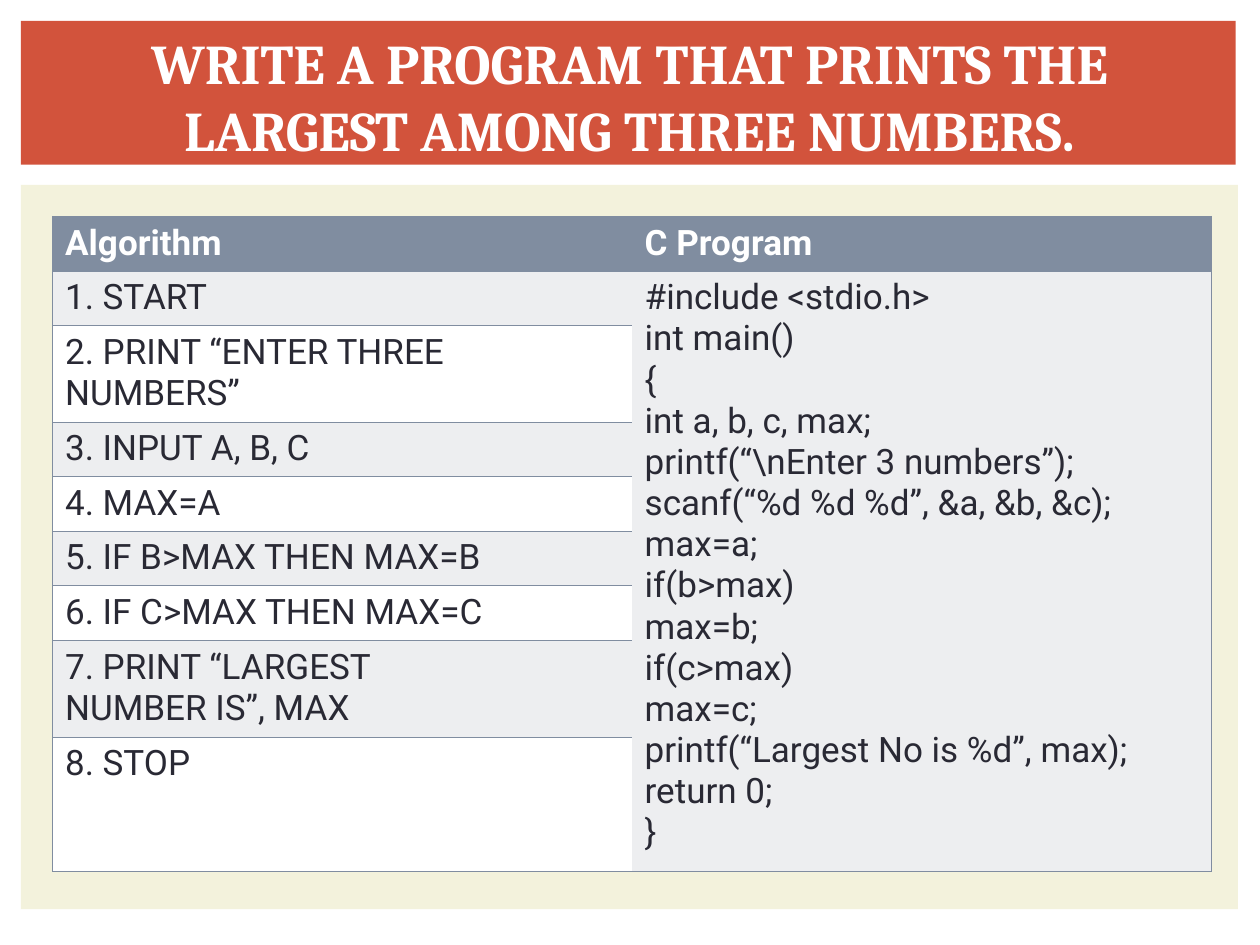
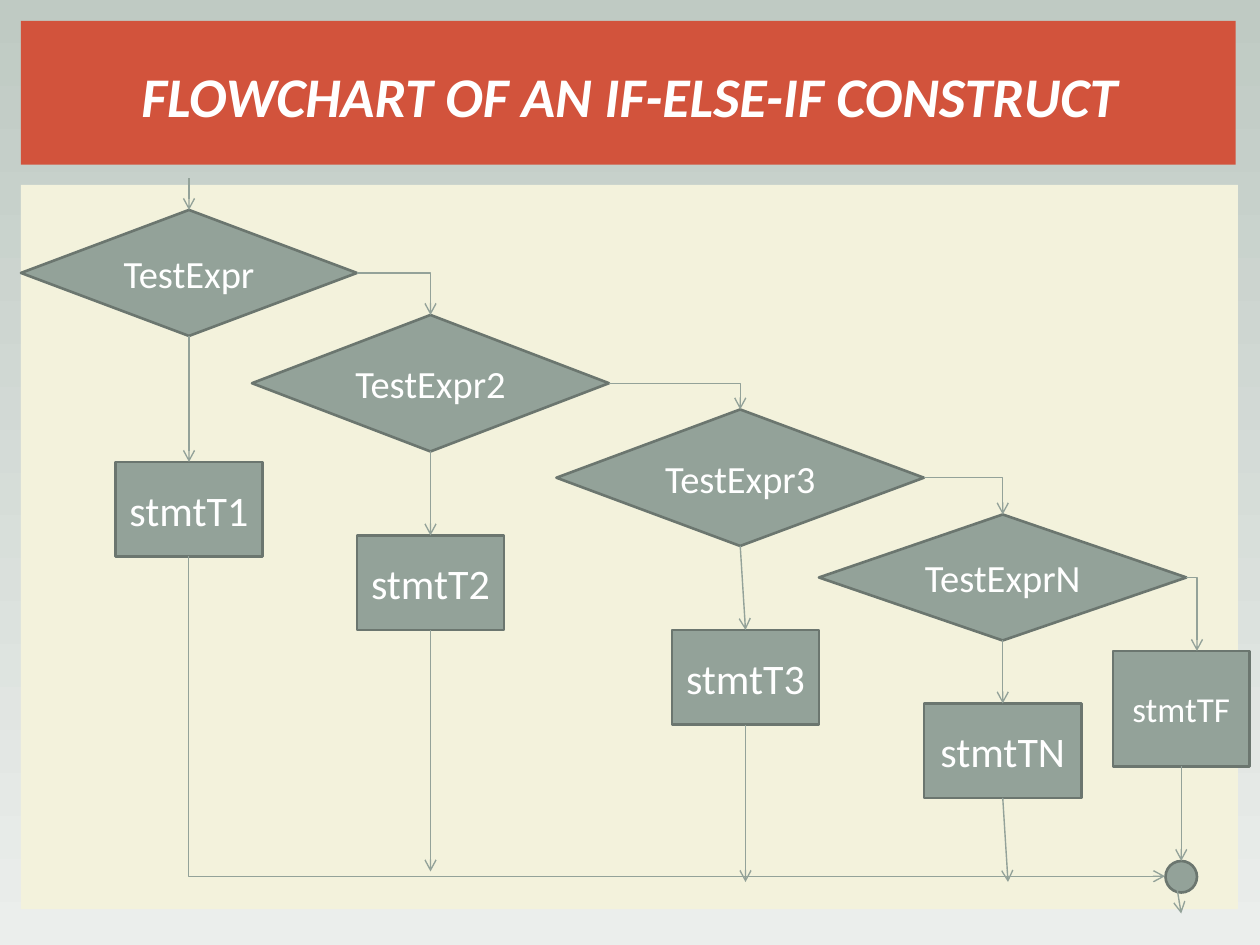
from lxml import etree
from pptx import Presentation
from pptx import util as u
from pptx.dml.color import RGBColor
from pptx.enum import shapes, text
from pptx.oxml.ns import qn

PX = 7620
PAPER, RED, CREAM = "FFFFFF", "D2533C", "F3F2DC"
SAGE, MOSS = "93A299", "6B766F"
SLATE, PALE, INK = "808DA0", "EDEEF0", "292934"
PLAIN_TABLE = "{2D5ABB26-0587-4C30-8999-92F81FD0307C}"

ALGORITHM = [
    "1. START",
    "2. PRINT “ENTER THREE\nNUMBERS”",
    "3. INPUT A, B, C",
    "4. MAX=A",
    "5. IF B>MAX THEN MAX=B",
    "6. IF C>MAX THEN MAX=C",
    "7. PRINT “LARGEST\nNUMBER IS”, MAX",
    "8. STOP",
]
PROGRAM = [
    "#include <stdio.h>",
    "int main()",
    "{",
    "int a, b, c, max;",
    "printf(“\\nEnter 3 numbers”);",
    "scanf(“%d %d %d”, &a, &b, &c);",
    "max=a;",
    "if(b>max)",
    "max=b;",
    "if(c>max)",
    "max=c;",
    "printf(“Largest No is %d”, max);",
    "return 0;",
    "}",
]
TESTS = [
    ("TestExpr", (20, 200, 320, 120)),
    ("TestExpr2", (240, 300, 340, 130)),
    ("TestExpr3", (530, 390, 350, 130)),
    ("TestExprN", (780, 490, 350, 120)),
]
STATEMENTS = [
    ("stmtT1", (110, 440, 140, 90)),
    ("stmtT2", (340, 510, 140, 90)),
    ("stmtT3", (640, 600, 140, 90)),
    ("stmtTN", (880, 670, 150, 90)),
]
FALLBACK = (1060, 620, 130, 110)
JOIN = (1110, 820, 30, 30)


def color(value):
    return RGBColor.from_string(value)


def px(*lengths):
    return [u.Emu(length * PX) for length in lengths]


def top(box):
    x, y, w, h = box
    return x + w // 2, y


def bottom(box):
    x, y, w, h = box
    return x + w // 2, y + h


def right(box):
    x, y, w, h = box
    return x + w, y + h // 2


class Deck:
    def __init__(self):
        self.prs = Presentation()
        self.prs.slide_width, self.prs.slide_height = px(1200, 900)
        self.slide = None

    def font(self, frame, name, size, ink, bold=False, italic=False):
        for paragraph in frame.paragraphs:
            for run in paragraph.runs:
                run.font.name = name
                run.font.size = u.Pt(size)
                run.font.bold = bold
                run.font.italic = italic
                run.font.color.rgb = color(ink)

    def new_slide(self, heading, face, italic=False, backdrop=(PAPER,)):
        self.slide = self.prs.slides.add_slide(self.prs.slide_layouts[5])
        fill = self.slide.background.fill
        if len(backdrop) == 1:
            fill.solid()
            fill.fore_color.rgb = color(backdrop[0])
        else:
            fill.gradient()
            fill.gradient_angle = 270
            for stop, shade in zip(fill.gradient_stops, backdrop):
                stop.color.rgb = color(shade)
        rectangle = shapes.MSO_SHAPE.RECTANGLE
        self.shape(rectangle, (20, 176, 1159, 690), CREAM)
        self.shape(rectangle, (20, 20, 1157, 137), RED)
        self.title(heading, face, italic)

    def title(self, heading, face, italic):
        title = self.slide.shapes.title
        title.left, title.top, title.width, title.height = px(50, 25, 1100, 132)
        frame = title.text_frame
        frame.text = heading
        frame.word_wrap = True
        frame.auto_size = text.MSO_AUTO_SIZE.NONE
        frame.vertical_anchor = text.MSO_ANCHOR.MIDDLE
        frame.paragraphs[0].alignment = text.PP_ALIGN.CENTER
        self.font(frame, face, 32, PAPER, bold=True, italic=italic)
        title._element.getparent().append(title._element)

    def shape(self, preset, box, fill, outline=None):
        shape = self.slide.shapes.add_shape(preset, *px(*box))
        shape.shadow.inherit = False
        shape.fill.solid()
        shape.fill.fore_color.rgb = color(fill)
        if outline:
            shape.line.color.rgb = color(outline)
            shape.line.width = u.Pt(1.5)
        else:
            shape.line.fill.background()
        return shape

    def node(self, preset, box, label="", size=24):
        frame = self.shape(preset, box, SAGE, MOSS).text_frame
        frame.text = label
        frame.vertical_anchor = text.MSO_ANCHOR.MIDDLE
        frame.paragraphs[0].alignment = text.PP_ALIGN.CENTER
        self.font(frame, "Calibri", size, PAPER)

    def arrow(self, start, end, bent=False):
        kind = shapes.MSO_CONNECTOR.ELBOW if bent else shapes.MSO_CONNECTOR.STRAIGHT
        arrow = self.slide.shapes.add_connector(kind, *px(*start, *end))
        arrow.line.color.rgb = color(SAGE)
        arrow.line.width = u.Pt(0.79)
        props = arrow._element.spPr
        etree.SubElement(props.find(qn("a:ln")), qn("a:tailEnd"), type="arrow")
        etree.SubElement(props, qn("a:effectLst"))
        if bent:
            props.find(qn("a:prstGeom")).set("prst", "bentConnector2")
        return arrow

    def down_then_right(self, start, end):
        across, down = end[0] - start[0], end[1] - start[1]
        left = (start[0] + end[0] - down) // 2
        upper = (start[1] + end[1] - across) // 2
        arrow = self.arrow((left, upper), (left + down, upper + across), bent=True)
        frame = arrow._element.spPr.find(qn("a:xfrm"))
        frame.set("rot", "16200000")
        frame.set("flipH", "1")

    def borders(self, cell, sides):
        props = cell._tc.get_or_add_tcPr()
        for side in sides:
            edge = etree.SubElement(props, qn(f"a:ln{side}"), w=str(u.Pt(0.45)))
            paint = etree.SubElement(edge, qn("a:solidFill"))
            etree.SubElement(paint, qn("a:srgbClr"), val=SLATE)

    def table(self, place, widths, heights, headers, steps, program):
        x, y = place
        table = self.slide.shapes.add_table(
            len(heights), len(widths), *px(x, y, sum(widths), sum(heights))
        ).table
        table._tbl.tblPr.find(qn("a:tableStyleId")).text = PLAIN_TABLE
        for column, width in zip(table.columns, px(*widths)):
            column.width = width
        for row, height in zip(table.rows, px(*heights)):
            row.height = height
        rows = [headers, (steps[0], program)] + [(step, "") for step in steps[1:]]
        for r, row in enumerate(rows):
            for c, words in enumerate(row):
                cell = table.cell(r, c)
                cell.text = words
                self.borders(cell, "RTB" if c else "LTB")
                cell.fill.solid()
                body = PALE if c or r % 2 else PAPER
                cell.fill.fore_color.rgb = color(body if r else SLATE)
                self.font(cell.text_frame, "Roboto", 20, INK if r else PAPER, bold=not r)
        table.cell(1, 1).merge(table.cell(len(steps), 1))


def largest_number(deck):
    deck.new_slide("WRITE A PROGRAM THAT PRINTS THE LARGEST AMONG THREE NUMBERS.", "Cambria")
    heights = [52] + [92 if "\n" in step else 52 for step in ALGORITHM]
    heights[-1] = 128
    deck.table((50, 206), [552, 552], heights, ("Algorithm", "C Program"),
               ALGORITHM, "\n".join(PROGRAM))


def flowchart(deck):
    deck.new_slide("FLOWCHART OF AN IF-ELSE-IF CONSTRUCT", "Calibri", italic=True,
                   backdrop=("BFCAC3", "EBEEEC"))
    preset = shapes.MSO_SHAPE
    for label, box in TESTS:
        deck.node(preset.FLOWCHART_DECISION, box, label, 22)
    for label, box in STATEMENTS:
        deck.node(preset.RECTANGLE, box, label)
    deck.node(preset.RECTANGLE, FALLBACK, "stmtTF", 20)
    deck.node(preset.FLOWCHART_CONNECTOR, JOIN)

    tests = [box for _, box in TESTS]
    statements = [box for _, box in STATEMENTS]
    deck.arrow((180, 170), top(tests[0]))
    for test, statement in zip(tests, statements):
        deck.arrow(bottom(test), top(statement))
    for test, following in zip(tests, tests[1:]):
        deck.arrow(right(test), top(following), bent=True)
    deck.arrow(right(tests[-1]), (1140, 620), bent=True)
    deck.down_then_right(bottom(statements[0]), (1110, 835))
    for statement, end in zip(statements[1:], [(410, 830), (710, 840), (960, 840)]):
        deck.arrow(bottom(statement), end)
    deck.arrow(bottom(FALLBACK), top(JOIN))
    deck.arrow((1120, 840), (1125, 870))


def main():
    deck = Deck()
    largest_number(deck)
    flowchart(deck)
    deck.prs.save("out.pptx")


if __name__ == "__main__":
    main()
